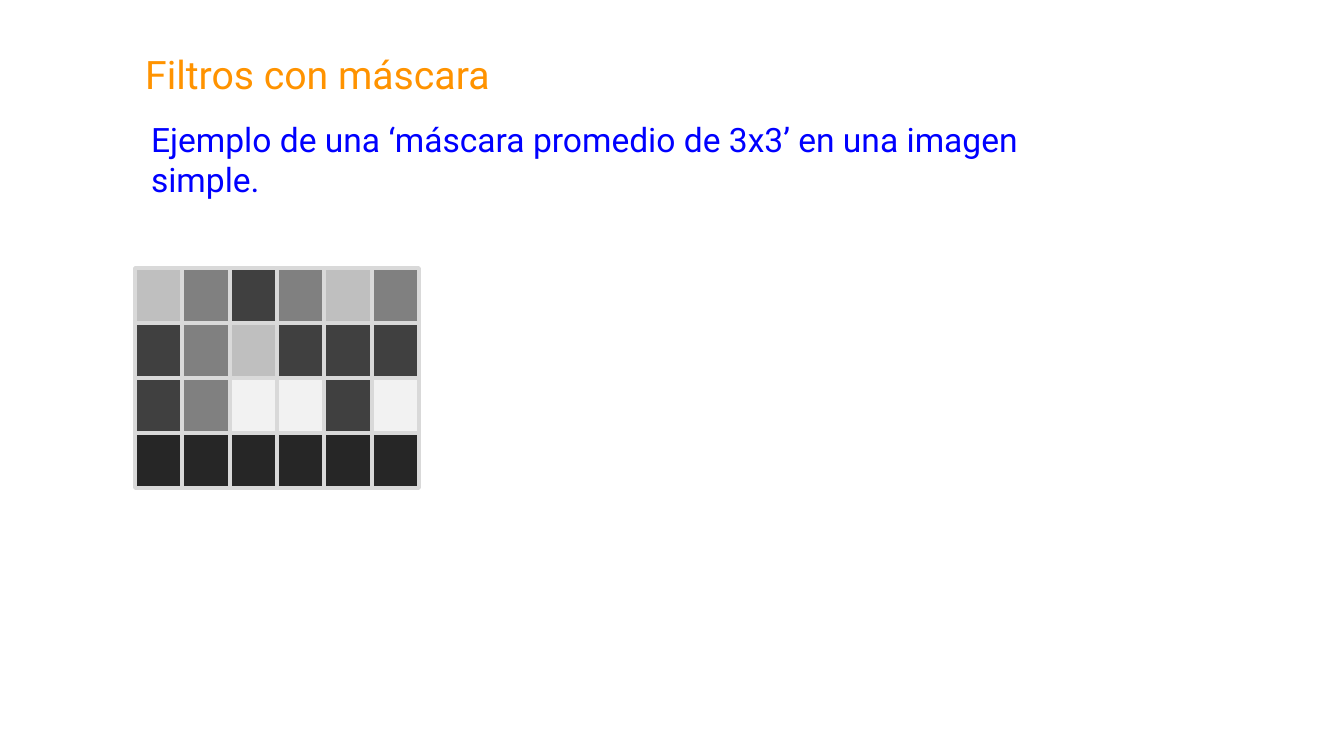
"""Build the slide that introduces a 3x3 averaging mask on a small grey image."""
from dataclasses import dataclass

from lxml.etree import SubElement
from pptx import Presentation
from pptx.dml.color import RGBColor
from pptx.enum.shapes import MSO_SHAPE as Shape
from pptx.enum.text import MSO_ANCHOR as Anchor, MSO_AUTO_SIZE as AutoSize, PP_ALIGN as Align
from pptx.oxml.ns import qn
from pptx.util import Emu, Pt

EMU_PER_PX = 914400 / 134.4
COLORS = {
    "title": "FF9300",
    "body": "0000FF",
    "border": "D9D9D9",
    "W": "F2F2F2",
    "L": "BFBFBF",
    "M": "808080",
    "D": "404040",
    "K": "262626",
}
IMAGE_ROWS = ["LMDMLM", "DMLDDD", "DMWWDW", "KKKKKK"]


@dataclass(frozen=True)
class Box:
    left: int
    top: int
    width: int
    height: int


@dataclass(frozen=True)
class Caption:
    text: str
    box: Box
    size: int
    color: str
    align: Align
    side_margin: int


TITLE = Caption("Filtros con máscara", Box(132, 44, 371, 60), 21, "title", Align.CENTER, 0)
BODY = Caption(
    "Ejemplo de una ‘máscara promedio de 3x3’ en una imagen simple.",
    Box(137, 112, 906, 95), 18, "body", Align.LEFT, 14,
)
IMAGE = Box(135, 268, 284, 220)


def px(length: float) -> Emu:
    return Emu(round(length * EMU_PER_PX))


def rgb(name: str) -> RGBColor:
    return RGBColor.from_string(COLORS[name])


def write_caption(placeholder, caption: Caption) -> None:
    box = caption.box
    placeholder.left, placeholder.top = px(box.left), px(box.top)
    placeholder.width, placeholder.height = px(box.width), px(box.height)
    frame = placeholder.text_frame
    frame.text = caption.text
    frame.word_wrap = True
    frame.margin_left = frame.margin_right = px(caption.side_margin)
    frame.auto_size = AutoSize.SHAPE_TO_FIT_TEXT
    frame.vertical_anchor = Anchor.TOP
    paragraph = frame.paragraphs[0]
    properties = paragraph._p.get_or_add_pPr()
    properties.set("marL", "0")
    properties.set("indent", "0")
    SubElement(properties, qn("a:buNone"))
    paragraph.alignment = caption.align
    paragraph.space_before = Pt(0)
    paragraph.font.name = "Roboto"
    paragraph.font.size = Pt(caption.size)
    paragraph.font.color.rgb = rgb(caption.color)


def draw_image(slide, rows: list[str], box: Box) -> None:
    cell_height = box.height / len(rows)
    for row, tones in enumerate(rows):
        cell_width = box.width / len(tones)
        for column, tone in enumerate(tones):
            cell = slide.shapes.add_shape(
                Shape.RECTANGLE,
                px(box.left + column * cell_width), px(box.top + row * cell_height),
                px(cell_width), px(cell_height),
            )
            cell.shadow.inherit = False
            cell.fill.solid()
            cell.fill.fore_color.rgb = rgb(tone)
            cell.line.color.rgb = rgb("border")
            cell.line.width = Pt(2)


def main() -> None:
    presentation = Presentation()
    presentation.slide_width, presentation.slide_height = px(1344), px(756)
    slide = presentation.slides.add_slide(presentation.slide_layouts[1])
    write_caption(slide.shapes.title, TITLE)
    write_caption(slide.placeholders[1], BODY)
    draw_image(slide, IMAGE_ROWS, IMAGE)
    presentation.save("out.pptx")


if __name__ == "__main__":
    main()
